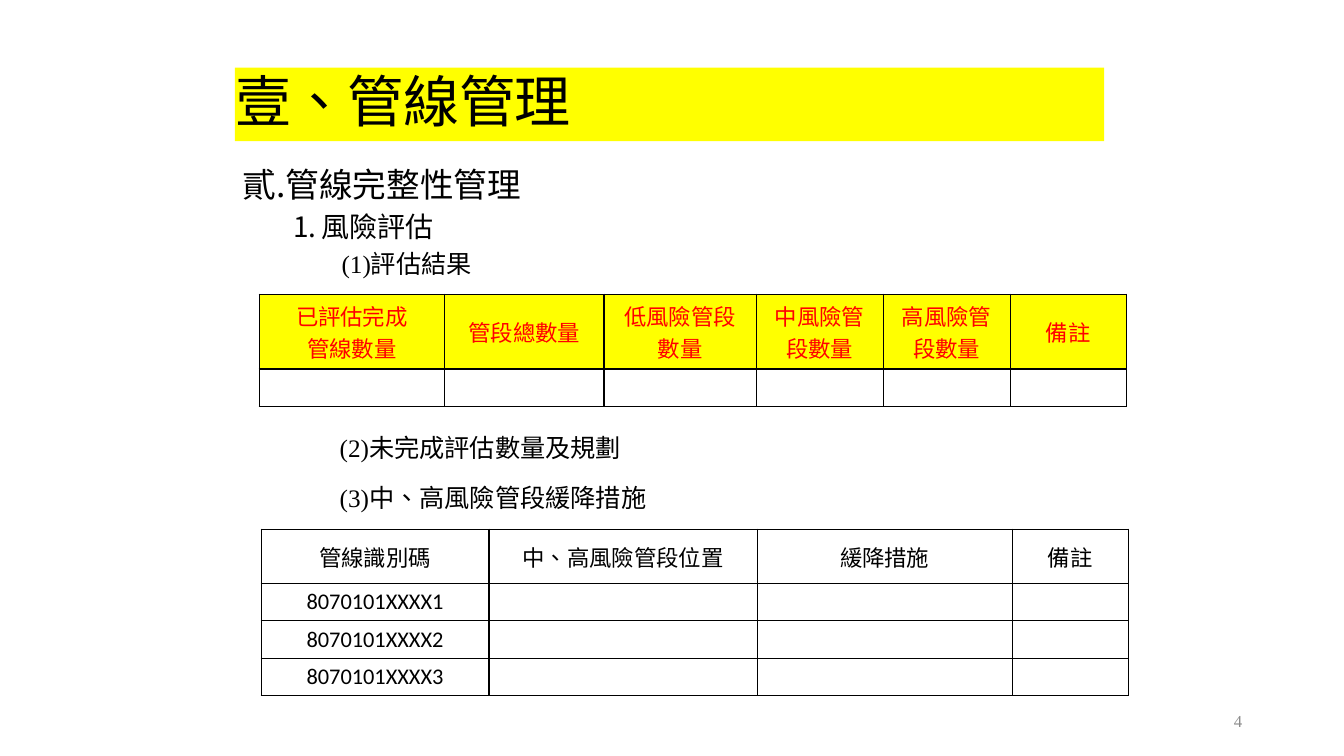
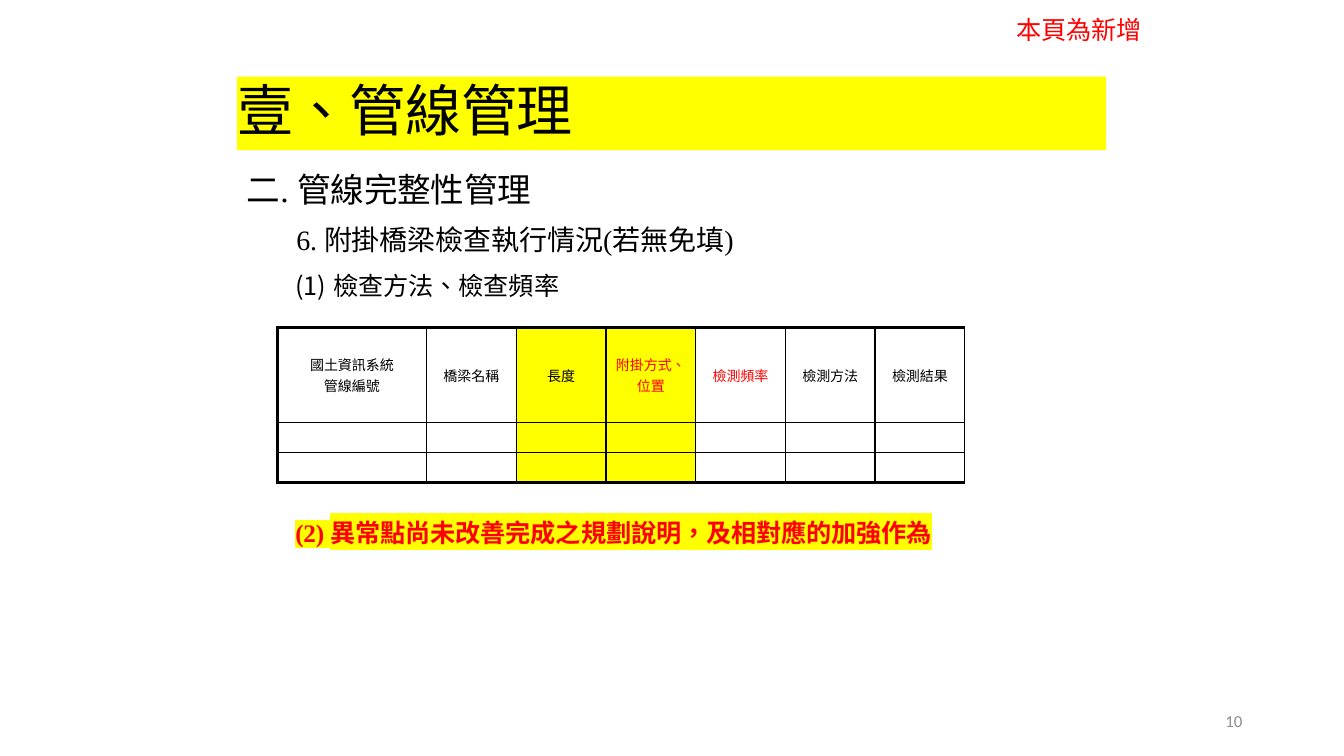
from lxml import etree
from pptx import Presentation
from pptx import util as u
from pptx.dml.color import RGBColor
from pptx.enum import shapes, text
from pptx.oxml.ns import qn

BLACK = RGBColor(0, 0, 0)
RED = RGBColor(255, 0, 0)
YELLOW = RGBColor(255, 255, 0)
GREY = RGBColor(0x8C, 0x8C, 0x8C)
SERIF, SANS, CJK = "Times New Roman", "Calibri", "Noto Sans CJK SC"
WIDE, HIGH = 13.33, 7.5
THIN, THICK = 1, 2.25
TITLE = "壹、管線管理"

# A line is its text and size, then whatever differs from the defaults of write().
RISK = [
    dict(words="管線完整性管理", size=24, left=0.25, hang=-0.25, lead=1.2,
         mark=("ea1ChtPeriod", 2)),
    dict(words="風險評估", size=20, left=0.78, hang=-0.28, lead=0.9,
         before=6, mark=("arabicPeriod", 1)),
    dict(words="(1)評估結果", size=18, left=0.98, lead=0.9, before=6),
]
STEPS = ["(2)未完成評估數量及規劃", "(3)中、高風險管段緩降措施"]
BRIDGE = [
    dict(words="二. 管線完整性管理", size=24, lead=0.9, after=12, track=-10),
    dict(words="6. 附掛橋梁檢查執行情況(若無免填)", size=20, left=0.49,
         lead=0.9, after=12, track=-10),
    dict(words="檢查方法、檢查頻率", size=18, left=0.86, hang=-0.38,
         lead=0.9, after=12, track=-10, mark=("arabicParenBoth", 1)),
]
FAULT = dict(words="(2) 異常點尚未改善完成之規劃說明，及相對應的加強作為", size=18,
             color=RED, bold=True, track=-10, after=12, glow=YELLOW)

COUNTS = dict(
    at=(2.57, 2.92), cols=[1.84, 1.58, 1.51, 1.26, 1.26, 1.15],
    rows=[0.74, 0.37], size=16, pad=(0.1, 0.05),
    cells=[["已評估完成\n管線數量", "管段總數量", "低風險管段數量",
            "中風險管段數量", "高風險管段數量", "備註"]],
    fills={(0, c) for c in range(6)}, reds=set(range(6)))
ACTIONS = dict(
    at=(2.59, 5.25), cols=[2.26, 2.66, 2.53, 1.15],
    rows=[0.54] + [0.37] * 3, size=16, pad=(0.1, 0.05),
    cells=[["管線識別碼", "中、高風險管段位置", "緩降措施", "備註"],
           ["8070101XXXX1"], ["8070101XXXX2"], ["8070101XXXX3"]])
CHECKS = dict(
    at=(2.75, 3.25), cols=[1.48] + [0.89] * 6, rows=[0.94, 0.3, 0.3],
    size=10, pad=(0.07, 0), heavy=True,
    cells=[["國土資訊系統\n管線編號", "橋梁名稱", "長度", "附掛方式、位置",
            "檢測頻率", "檢測方法", "檢測結果"]],
    fills={(r, c) for r in range(3) for c in (2, 3)}, reds={3, 4})


def add(node, tag, **attrs):
    return etree.SubElement(node, qn(tag), **attrs)


def write(para, words, size, font=SERIF, color=BLACK, bold=False, track=0,
          left=0, hang=0, lead=1.0, before=0, after=0, align=None,
          mark=None, glow=None):
    """Fill a paragraph with one run; mark is a number style and its start."""
    para.line_spacing = lead
    para.space_before, para.space_after = u.Pt(before), u.Pt(after)
    para.alignment = align
    props = para._p.get_or_add_pPr()
    props.set("marL", str(u.Inches(left)))
    props.set("indent", str(u.Inches(hang)))
    if mark:
        add(props, "a:buFont", typeface=CJK)
        add(props, "a:buAutoNum", type=mark[0], startAt=str(mark[1]))
    if not words:
        add(para._p, "a:endParaRPr", sz=str(size * 100))
        return
    run = para.add_run()
    run.text = words
    face = run.font
    face.size, face.bold = u.Pt(size), bold
    face.color.rgb = color
    style = run._r.get_or_add_rPr()
    style.set("lang", "zh-TW")
    style.set("spc", str(track))
    if glow:
        add(add(style, "a:highlight"), "a:srgbClr", val=str(glow))
    face.name = font
    add(style, "a:ea", typeface=CJK)


def fill_text(frame, lines):
    frame.word_wrap = True
    for i, line in enumerate(lines):
        write(frame.add_paragraph() if i else frame.paragraphs[0], **line)


def add_text(slide, box, *lines):
    shape = slide.shapes.add_textbox(*map(u.Inches, box))
    fill_text(shape.text_frame, lines)
    return shape.text_frame


def edge(cell, side, width):
    line = add(cell._tc.get_or_add_tcPr(), "a:ln" + side, w=str(u.Pt(width)))
    add(add(line, "a:solidFill"), "a:srgbClr", val=str(BLACK))


def add_grid(slide, at, cols, rows, size, pad, cells, fills=(), reds=(),
             heavy=False):
    """Draw a table; heavy thickens its left, top and bottom edges."""
    box = (*at, sum(cols), sum(rows))
    table = slide.shapes.add_table(len(rows), len(cols),
                                   *map(u.Inches, box)).table
    table.first_row = table.horz_banding = False
    for parts, sizes in ((table.columns, cols), (table.rows, rows)):
        for part, length in zip(parts, sizes):
            if parts is table.columns:
                part.width = u.Inches(length)
            else:
                part.height = u.Inches(length)
    for r in range(len(rows)):
        for c in range(len(cols)):
            cell = table.cell(r, c)
            cell.margin_left = cell.margin_right = u.Inches(pad[0])
            cell.margin_top = cell.margin_bottom = u.Inches(pad[1])
            if r == 0:
                cell.vertical_anchor = text.MSO_ANCHOR.MIDDLE
            outer = dict(L=c == 0, R=False, T=r == 0, B=r == len(rows) - 1)
            for side, out in outer.items():
                edge(cell, side, THICK if heavy and out else THIN)
            if (r, c) in fills:
                cell.fill.solid()
                cell.fill.fore_color.rgb = YELLOW
            else:
                cell.fill.background()
            words = cells[r][c] if r < len(cells) and c < len(cells[r]) else ""
            fill_text(cell.text_frame, [
                dict(words=part, size=size, font=SANS if r else SERIF,
                     color=RED if c in reds else BLACK,
                     align=text.PP_ALIGN.CENTER)
                for part in words.split("\n")])


def start(deck, left, top, number, font):
    """Add a slide with the title band and the page number."""
    slide = deck.slides.add_slide(deck.slide_layouts[6])
    band = slide.shapes.add_shape(shapes.MSO_SHAPE.RECTANGLE,
                                  *map(u.Inches, (left, top, 8.62, 0.73)))
    band.shadow.inherit = False
    band.fill.solid()
    band.fill.fore_color.rgb = YELLOW
    band.line.fill.background()
    frame = band.text_frame
    frame.margin_left = frame.margin_right = 0
    frame.margin_top = frame.margin_bottom = 0
    frame.vertical_anchor = text.MSO_ANCHOR.MIDDLE
    fill_text(frame, [dict(words=TITLE, size=40, left=0.01, lead=0.9,
                           track=-10, align=text.PP_ALIGN.LEFT)])
    foot = add_text(slide, (9.42, 6.95, 3, 0.4),
                    dict(words=number, size=12, font=font, color=GREY,
                         align=text.PP_ALIGN.RIGHT))
    foot.vertical_anchor = text.MSO_ANCHOR.MIDDLE
    return slide


def main():
    deck = Presentation()
    deck.slide_width, deck.slide_height = u.Inches(WIDE), u.Inches(HIGH)

    risk = start(deck, 2.33, 0.67, "4", SERIF)
    add_text(risk, (2.31, 1.5, 8.98, 1.41), *RISK)
    add_grid(risk, **ACTIONS)
    add_grid(risk, **COUNTS)
    for i, step in enumerate(STEPS):
        add_text(risk, (3.17, 4.09 + i * 0.5, 4.32, 0.64),
                 dict(words=step, size=18, left=0.1, lead=1.5, before=5))

    bridge = start(deck, 2.35, 0.76, "10", SANS)
    add_text(bridge, (2.35, 1.67, 8.35, 1.5), *BRIDGE)
    add_grid(bridge, **CHECKS)
    add_text(bridge, (9.98, 0.09, 1.46, 0.4),
             dict(words="本頁為新增", size=18, font=SANS, color=RED))
    add_text(bridge, (2.83, 5.08, 6.75, 0.4), FAULT)

    deck.save("out.pptx")


if __name__ == "__main__":
    main()
